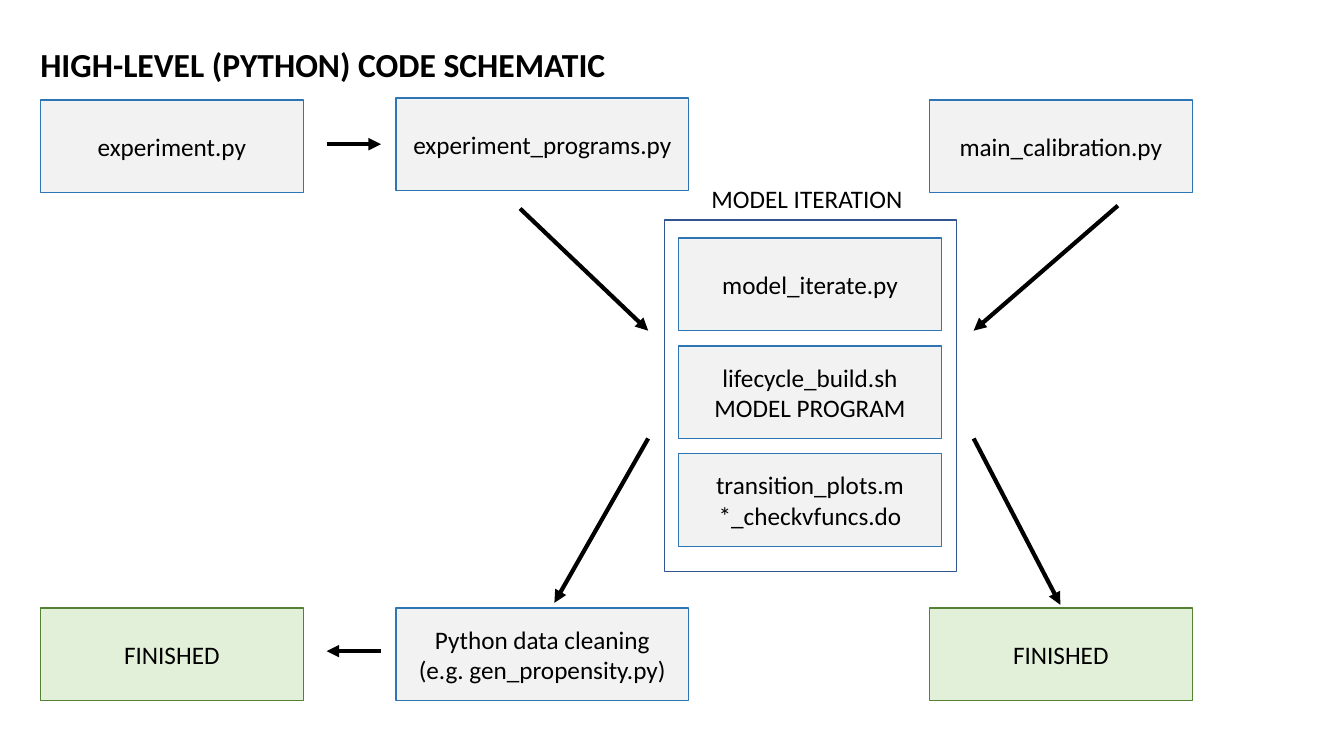
from lxml.etree import SubElement
from pptx import Presentation
from pptx.dml.color import RGBColor
from pptx.enum.shapes import MSO_CONNECTOR, MSO_SHAPE
from pptx.enum.text import MSO_ANCHOR, PP_ALIGN
from pptx.oxml.ns import qn
from pptx.util import Pt

FONT = "Calibri"
BLACK = "000000"
GREY, BLUE = "F2F2F2", "2E75B6"
LIGHT_GREEN, GREEN = "E2F0D9", "548235"
FRAME_BLUE = "325491"

BOX_W, WIDE_W, BOX_H = 188, 208.8, 66.3
LEFT_X, MID_X, RIGHT_X = 28.8, 283, 663.8
TOP_Y, BOTTOM_Y = 71.3, 434.2
STACK_X, STACK_Y, STACK_STEP = 484.6, 170, 77

STACK = [
    ["model_iterate.py"],
    ["lifecycle_build.sh", "MODEL PROGRAM"],
    ["transition_plots.m", "*_checkvfuncs.do"],
]
ARROWS = [
    ((233.3, 103), (272.2, 103)),        # experiment to programs
    ((371.5, 149), (463, 236.2)),        # programs to iteration
    ((798.5, 146.9), (695.5, 236.2)),    # calibration to iteration
    ((463, 313.2), (396, 430.6)),        # iteration to cleaning
    ((695.5, 313.2), (757.4, 432)),      # iteration to finished
    ((272.2, 465.1), (233.3, 465.1)),    # cleaning to finished
]


def color(hex_string):
    """Turn a hex string into a colour."""
    return RGBColor.from_string(hex_string)


def write(tf, lines, size=18, bold=False, align=PP_ALIGN.LEFT,
          anchor=MSO_ANCHOR.TOP):
    """Fill a text frame with one paragraph per line."""
    tf.word_wrap = True
    tf.vertical_anchor = anchor
    for i, line in enumerate(lines):
        p = tf.add_paragraph() if i else tf.paragraphs[0]
        p.alignment = align
        r = p.add_run()
        r.text = line
        r.font.name = FONT
        r.font.size = Pt(size)
        r.font.bold = bold
        r.font.color.rgb = color(BLACK)


def add_rect(s, x, y, w, h, line, fill=None):
    """Add an outlined rectangle, hollow when no fill is given."""
    sp = s.shapes.add_shape(MSO_SHAPE.RECTANGLE, Pt(x), Pt(y), Pt(w), Pt(h))
    sp.shadow.inherit = False
    if fill:
        sp.fill.solid()
        sp.fill.fore_color.rgb = color(fill)
    else:
        sp.fill.background()
    sp.line.color.rgb = color(line)
    sp.line.width = Pt(1)
    return sp


def add_box(s, x, y, lines, w=BOX_W, fill=GREY, line=BLUE):
    """Add a step box with centred text."""
    sp = add_rect(s, x, y, w, BOX_H, line, fill)
    write(sp.text_frame, lines, align=PP_ALIGN.CENTER,
          anchor=MSO_ANCHOR.MIDDLE)


def add_arrow(s, start, end):
    """Add a thick black arrow between two points."""
    cn = s.shapes.add_connector(MSO_CONNECTOR.STRAIGHT,
                                *map(Pt, start + end))
    cn.line.color.rgb = color(BLACK)
    cn.line.width = Pt(3)
    SubElement(cn.line._get_or_add_ln(), qn("a:tailEnd"), type="triangle")
    SubElement(cn._element.spPr, qn("a:effectLst"))


def add_label(s, x, y, w, h, text):
    """Add a plain text label."""
    tb = s.shapes.add_textbox(Pt(x), Pt(y), Pt(w), Pt(h))
    write(tb.text_frame, [text])


def set_title(s, text):
    """Place and format the slide title."""
    title = s.shapes.title
    title.left, title.top = Pt(21.6), Pt(28.1)
    title.width, title.height = Pt(441.4), Pt(36)
    write(title.text_frame, [text], size=24, bold=True)


def main():
    """Build the code schematic slide."""
    prs = Presentation()
    prs.slide_width, prs.slide_height = Pt(960), Pt(540)
    s = prs.slides.add_slide(prs.slide_layouts[5])

    set_title(s, "HIGH-LEVEL (PYTHON) CODE SCHEMATIC")
    add_box(s, LEFT_X, TOP_Y, ["experiment.py"])
    add_box(s, MID_X, TOP_Y - 1.4, ["experiment_programs.py"], w=WIDE_W)
    add_box(s, RIGHT_X, TOP_Y, ["main_calibration.py"])

    add_label(s, 501.1, 127.4, 157, 28.8, "MODEL ITERATION")
    add_rect(s, 474.5, 157, WIDE_W, 251.3, FRAME_BLUE)
    for i, lines in enumerate(STACK):
        add_box(s, STACK_X, STACK_Y + i * STACK_STEP, lines)

    add_box(s, MID_X, BOTTOM_Y,
            ["Python data cleaning", "(e.g. gen_propensity.py)"], w=WIDE_W)
    for x in (LEFT_X, RIGHT_X):
        add_box(s, x, BOTTOM_Y, ["FINISHED"], fill=LIGHT_GREEN, line=GREEN)

    for start, end in ARROWS:
        add_arrow(s, start, end)

    prs.save("out.pptx")


main()
